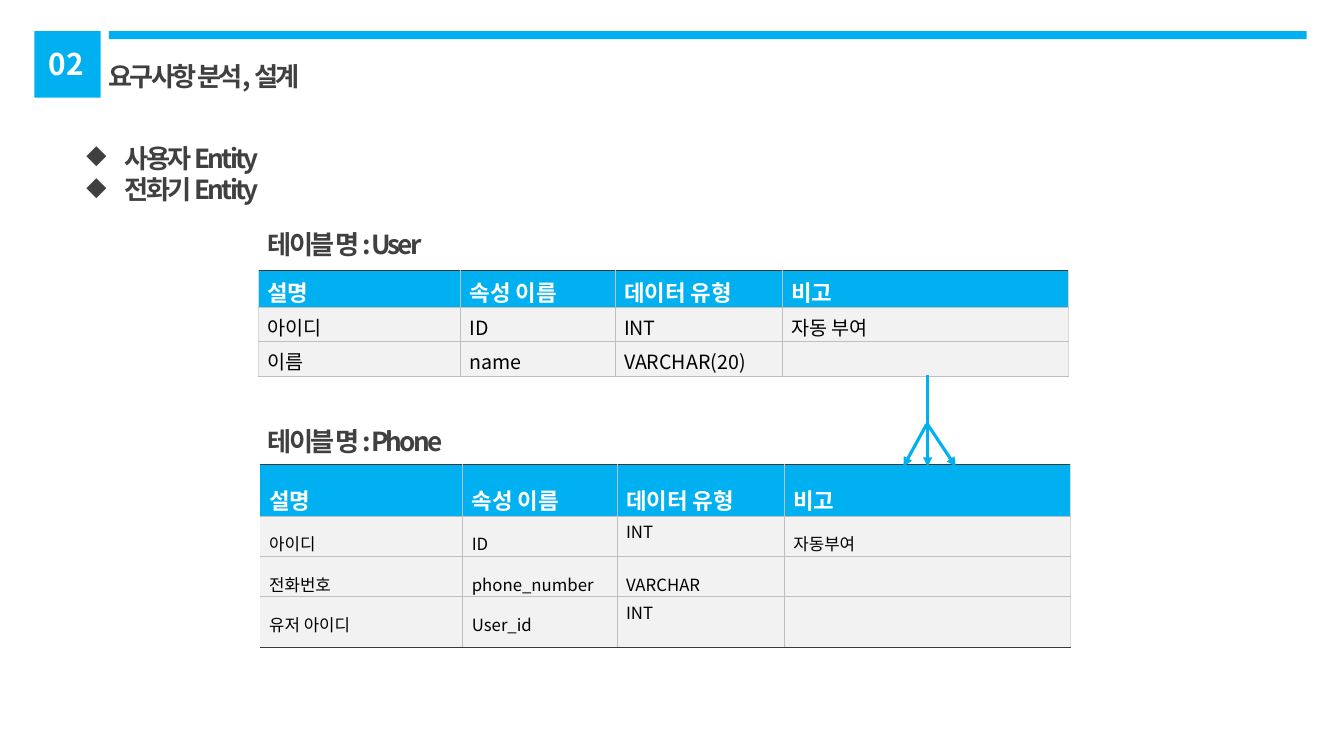
from lxml import etree
from pptx import Presentation
from pptx.dml.color import RGBColor
from pptx.enum.shapes import MSO_CONNECTOR, MSO_SHAPE
from pptx.enum.text import MSO_AUTO_SIZE, PP_ALIGN
from pptx.oxml.ns import qn
from pptx.util import Inches, Pt

RECT = MSO_SHAPE.RECTANGLE
LINE = MSO_CONNECTOR.STRAIGHT
GROW = MSO_AUTO_SIZE.SHAPE_TO_FIT_TEXT
LEFT, MID = PP_ALIGN.LEFT, PP_ALIGN.CENTER
FONT = "Noto Sans CJK KR"
COLOR = {
    "blue": "00B0F0", "white": "FFFFFF", "text": "404040", "black": "000000",
    "cell": "F2F2F2", "grid": "BFBFBF", "edge": "D9D9D9", "rule": "3B3838",
}
COLS = [2.01, 1.53, 1.66, 2.84]
HEAD = ["설명", "속성 이름", "데이터 유형", "비고"]
USER = [HEAD, ["아이디", "ID", "INT", "자동 부여"], ["이름", "name", "VARCHAR(20)", ""]]
PHONE = [
    HEAD,
    ["아이디", "ID", "INT", "자동부여"],
    ["전화번호", "phone_number", "VARCHAR", ""],
    ["유저 아이디", "User_id", "INT", ""],
]


def rgb(name):
    """Return the named colour."""
    return RGBColor.from_string(COLOR[name])


def add_run(para, text, size, color, bold=True, space=0):
    """Add one styled run to a paragraph."""
    run = para.add_run()
    run.text = text
    font = run.font
    font.size, font.bold, font.name = Pt(size), bold, FONT
    font.color.rgb = rgb(color)
    props = run._r.get_or_add_rPr()
    etree.SubElement(props, qn("a:ea"), typeface=FONT)
    if space:
        props.set("spc", str(space * 100))


def add_bar(slide, *box):
    """Add a plain blue rectangle."""
    bar = slide.shapes.add_shape(RECT, *map(Inches, box))
    bar.shadow.inherit = False
    bar.fill.solid()
    bar.fill.fore_color.rgb = rgb("blue")
    bar.line.fill.background()


def add_text(slide, box, lines, size=18.7, color="text", space=-2, align=LEFT, bullet=""):
    """Add a text box with one paragraph per line."""
    frame = slide.shapes.add_textbox(*map(Inches, box)).text_frame
    frame.word_wrap = True
    frame.auto_size = GROW
    for i, line in enumerate(lines):
        para = frame.add_paragraph() if i else frame.paragraphs[0]
        para.alignment = align
        if bullet:
            props = para._p.get_or_add_pPr()
            props.set("marL", str(Inches(0.38)))
            props.set("indent", str(-Inches(0.38)))
            etree.SubElement(props, qn("a:buChar"), char=bullet)
        add_run(para, line, size, color, space=space)


def set_edge(cell, side, color, width=0.5):
    """Draw one border of a cell, or clear it when no colour is given."""
    props = cell._tc.get_or_add_tcPr()
    line = etree.SubElement(props, qn("a:ln" + side), w=str(Pt(width)))
    if color:
        fill = etree.SubElement(line, qn("a:solidFill"))
        etree.SubElement(fill, qn("a:srgbClr"), val=COLOR[color])
    else:
        etree.SubElement(line, qn("a:noFill"))


def fill_cell(cell, text, size, head, lead):
    """Fill a cell and write its text."""
    cell.fill.solid()
    cell.fill.fore_color.rgb = rgb("blue" if head else "cell")
    para = cell.text_frame.paragraphs[0]
    if text:
        para.line_spacing = lead
        add_run(para, text, size, "white" if head else "black", head)
    else:
        etree.SubElement(para._p, qn("a:endParaRPr"), sz=str(size * 100))


def add_grid(slide, left, top, rows, highs, size, lead, pad, side, foot):
    """Add a table with a blue head row."""
    box = map(Inches, (left, top, sum(COLS), sum(highs)))
    table = slide.shapes.add_table(len(rows), len(COLS), *box).table
    table.horz_banding = False
    for col, width in zip(table.columns, COLS):
        col.width = Inches(width)
    last, end = len(rows) - 1, len(COLS) - 1
    for r, row in enumerate(rows):
        table.rows[r].height = Inches(highs[r])
        for c, text in enumerate(row):
            cell = table.cell(r, c)
            cell.margin_left = cell.margin_right = Inches(0.09)
            cell.margin_top, cell.margin_bottom = Inches(pad), 0
            set_edge(cell, "L", "grid" if c else side)
            set_edge(cell, "R", "edge" if c == end else "grid")
            set_edge(cell, "T", *(("grid", 0.5) if r else ("rule", 1)))
            set_edge(cell, "B", *(foot if r == last else ("grid", 0.5)))
            fill_cell(cell, text, size if r else 16, r == 0, 1 if text == "INT" else lead)


def add_arrow(slide, *ends):
    """Add a blue line with an arrowhead at its end."""
    arrow = slide.shapes.add_connector(LINE, *map(Inches, ends))
    arrow.line.color.rgb = rgb("blue")
    arrow.line.width = Pt(2.25)
    etree.SubElement(arrow.line._get_or_add_ln(), qn("a:tailEnd"), type="triangle")
    etree.SubElement(arrow._element.spPr, qn("a:effectLst"))


def main():
    """Build the slide and save it."""
    deck = Presentation()
    deck.slide_width, deck.slide_height = Inches(13.33), Inches(7.5)
    slide = deck.slides.add_slide(deck.slide_layouts[6])
    add_bar(slide, 0.34, 0.31, 0.66, 0.66)
    add_text(slide, (0.98, 0.55, 5.16, 0.42), ["요구사항 분석, 설계"])
    add_bar(slide, 1.08, 0.31, 11.88, 0.08)
    add_text(slide, (0.19, 0.4, 0.94, 0.46), ["02"], 21.3, "white", 0, MID)
    add_grid(slide, 2.56, 2.68, USER, [0.37, 0.34, 0.34], 14, 1, 0.05, "edge", ("grid", 0.5))
    add_grid(slide, 2.58, 4.61, PHONE, [0.51, 0.4, 0.4, 0.5], 12, 1.5, 0.03, None, ("rule", 1))
    add_text(slide, (2.56, 2.22, 2.5, 0.42), ["테이블 명 : User"])
    add_text(slide, (2.56, 4.17, 2.34, 0.42), ["테이블 명 : Phone"])
    add_text(slide, (0.76, 1.36, 2.5, 0.73), ["사용자 Entity", "전화기 Entity"], bullet="◆")
    for x, y, tip in [(9.2, 3.72, 9.2), (9.19, 4.21, 8.96), (9.2, 4.21, 9.48)]:
        add_arrow(slide, x, y, tip, 4.63)
    deck.save("out.pptx")


if __name__ == "__main__":
    main()
